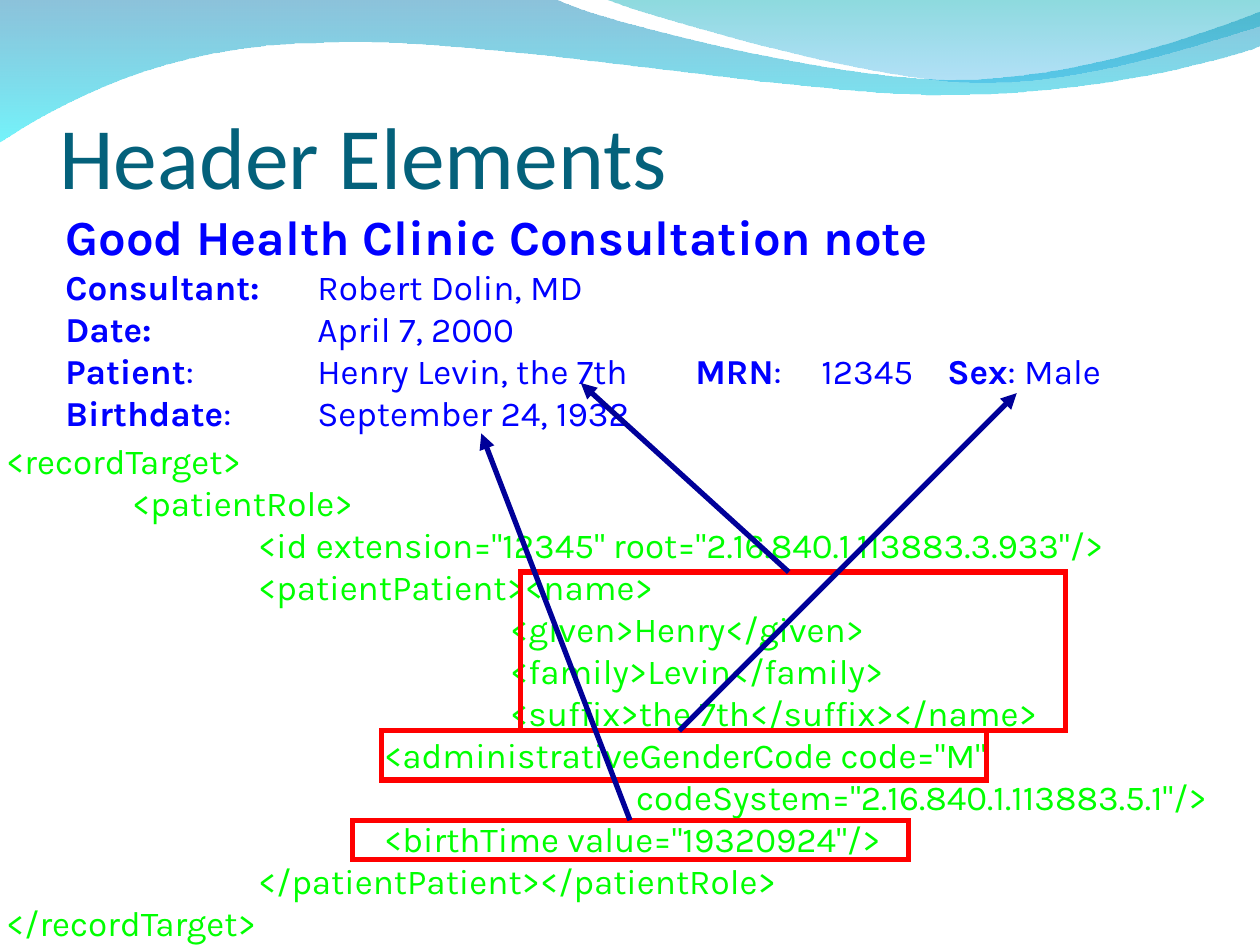
import lxml.etree
import pptx
import pptx.dml.color
import pptx.enum.shapes
import pptx.enum.text
import pptx.oxml.ns
import pptx.util

Inches = pptx.util.Inches
Pt = pptx.util.Pt
RGBColor = pptx.dml.color.RGBColor
qn = pptx.oxml.ns.qn

TITLE_TEAL = RGBColor(0x04, 0x61, 0x7B)
NOTE_BLUE = RGBColor(0x00, 0x00, 0xFF)
CODE_GREEN = RGBColor(0x00, 0xFF, 0x00)
MARK_RED = RGBColor(0xFF, 0x00, 0x00)
ARROW_NAVY = RGBColor(0x00, 0x00, 0x99)
WAVE_DEEP = RGBColor(0x00, 0x79, 0xAF)
WAVE_CYAN = RGBColor(0x00, 0xEB, 0xF8)
WAVE_TEAL = RGBColor(0x00, 0xAD, 0xB6)
WAVE_SKY = RGBColor(0x00, 0x9B, 0xE5)

BACK_WAVE = [
    [(0.01, 0)], [(4.41, 0)],
    [(4.77, 0.18), (6.65, 0.64), (7.59, 0.64)],
    [(8.54, 0.64), (9.59, 0.27), (10.01, 0.1)],
    [(10.02, 0.37)],
    [(9.84, 0.45), (8.71, 0.77), (7.47, 0.76)],
    [(6.23, 0.76), (3.83, 0.29), (2.58, 0.35)],
    [(1.3, 0.36), (0.47, 0.84), (0, 1.14)],
]
FRONT_WAVE = [
    [(0, 0)],
    [(0.3, 0.12), (2.03, 0.63), (2.9, 0.66)],
    [(3.77, 0.7), (4.82, 0.33), (5.21, 0.22)],
    [(5.21, 0.01)],
]

NOTE_LINES = [
    [("Good Health Clinic Consultation note", True)],
    [("Consultant:\t", True), ("Robert Dolin, MD", False)],
    [("Date:\t\t", True), ("April 7, 2000", False)],
    [("Patient", True), (":\tHenry Levin, the 7th\t", False), ("MRN", True),
     (":\t12345\t", False), ("Sex", True), (": Male", False)],
    [("Birthdate", True), (":\tSeptember 24, 1932", False)],
]
CODE_LINES = [
    (0, '<recordTarget>'),
    (1, '<patientRole>'),
    (2, '<id extension="12345" root="2.16.840.1.113883.3.933"/>'),
    (2, '<patientPatient><name>'),
    (4, '<given>Henry</given>'),
    (4, '<family>Levin</family>'),
    (4, '<suffix>the 7th</suffix></name>'),
    (3, '<administrativeGenderCode code="M"'),
    (5, 'codeSystem="2.16.840.1.113883.5.1"/>'),
    (3, '<birthTime value="19320924"/>'),
    (2, '</patientPatient></patientRole>'),
    (0, '</recordTarget>'),
]
MARKS = [
    ((4.13, 4.54, 4.33, 1.26), 2.13, (4.61, 3.04)),
    ((3.03, 5.8, 4.8, 0.39), 2.36, (8.07, 3.12)),
    ((2.8, 6.51, 4.41, 0.31), 2.2, (3.82, 3.44)),
]


def set_values(target, values):
    """Set each attribute of the target from a dict."""
    for name, value in values.items():
        setattr(target, name, value)


def bend(shape, segments):
    """Turn each run of three line segments into one cubic curve."""
    lines = iter(list(shape._element.iter(qn("a:lnTo"))))
    for segment in segments[1:]:
        first, *others = [next(lines) for _ in segment]
        if others:
            curve = lxml.etree.Element(qn("a:cubicBezTo"))
            first.addprevious(curve)
            for line in (first, *others):
                curve.append(line[0])
                line.getparent().remove(line)


def add_wave(page, left, top, segments, stops):
    """Draw a translucent wave whose gradient runs downwards."""
    points = [(Inches(left + x), Inches(top + y)) for segment in segments for x, y in segment]
    builder = page.shapes.build_freeform(*points[0])
    builder.add_line_segments(points[1:], close=True)
    wave = builder.convert_to_shape()
    bend(wave, segments)
    wave.shadow.inherit = False
    wave.line.fill.background()
    wave.fill.gradient()
    wave.fill.gradient_angle = 270
    for stop, (position, color, opacity) in zip(wave.fill.gradient_stops, stops):
        stop.position = position
        stop.color.rgb = color
    for node, (position, color, opacity) in zip(wave._element.iter(qn("a:srgbClr")), stops):
        lxml.etree.SubElement(node, qn("a:alpha"), val=str(opacity * 1000))


def add_text(page, box, lines, sizes, font, frame_values):
    """Write lines of (text, bold) spans with a tab stop at every inch."""
    frame = page.shapes.add_textbox(*map(Inches, box)).text_frame
    set_values(frame, frame_values)
    for index, (line, size) in enumerate(zip(lines, sizes)):
        para = frame.add_paragraph() if index else frame.paragraphs[0]
        tabs = lxml.etree.SubElement(para._p.get_or_add_pPr(), qn("a:tabLst"))
        for inch in range(1, 9):
            lxml.etree.SubElement(tabs, qn("a:tab"), pos=str(Inches(inch)), algn="l")
        for text, bold in line:
            span = para.add_run()
            span.text = text
            set_values(span.font, {"name": font[0], "size": Pt(size), "bold": bold})
            span.font.color.rgb = font[1]


def add_title(page, box):
    """Place the slide title at the bottom of its box."""
    add_text(page, box, [[("Header Elements", False)]], [50], ("Calibri", TITLE_TEAL), {
        "word_wrap": True, "vertical_anchor": pptx.enum.text.MSO_ANCHOR.BOTTOM,
        "margin_left": 0, "margin_right": 0, "margin_bottom": 0})


def add_note(page, box):
    """Place the heading and details of the consultation note."""
    sizes = [28] + [20] * (len(NOTE_LINES) - 1)
    add_text(page, box, NOTE_LINES, sizes, ("Karla", NOTE_BLUE), {"word_wrap": True})


def add_code(page, box):
    """Place the record listing, one tab for each level."""
    lines = [[("\t" * depth + text, False)] for depth, text in CODE_LINES]
    add_text(page, box, lines, [20] * len(lines), ("Karla", CODE_GREEN), {"word_wrap": False})


def add_mark(page, box, offset, target):
    """Frame a part of the listing and point from its top edge to the note."""
    frame = page.shapes.add_shape(
        pptx.enum.shapes.MSO_SHAPE.RECTANGLE, *map(Inches, box))
    frame.shadow.inherit = False
    frame.fill.background()
    arrow = page.shapes.add_connector(
        pptx.enum.shapes.MSO_CONNECTOR.STRAIGHT,
        *map(Inches, (box[0] + offset, box[1], *target)))
    for shape, color in ((frame, MARK_RED), (arrow, ARROW_NAVY)):
        shape.line.width = Pt(3)
        shape.line.color.rgb = color
        lxml.etree.SubElement(shape.line._get_or_add_ln(), qn("a:miter"), lim="800000")
    lxml.etree.SubElement(arrow.line._get_or_add_ln(), qn("a:tailEnd"), type="triangle")
    lxml.etree.SubElement(arrow._element.spPr, qn("a:effectLst"))


def main():
    """Build the slide and save the deck."""
    deck = pptx.Presentation()
    set_values(deck, {"slide_width": Inches(10), "slide_height": Inches(7.5)})
    page = deck.slides.add_slide(deck.slide_layouts[6])
    add_wave(page, -0.01, -0.01, BACK_WAVE, [(0, WAVE_DEEP, 45), (1, WAVE_CYAN, 55)])
    add_wave(page, 4.79, -0.01, FRONT_WAVE, [(0, WAVE_TEAL, 45), (1, WAVE_SKY, 30)])
    add_title(page, (0.47, 0.39, 9, 1.25))
    add_note(page, (0.42, 1.59, 9.31, 1.9))
    add_code(page, (-0.05, 3.44, 10.26, 4.1))
    for box, offset, target in MARKS:
        add_mark(page, box, offset, target)
    deck.save("out.pptx")


if __name__ == "__main__":
    main()
